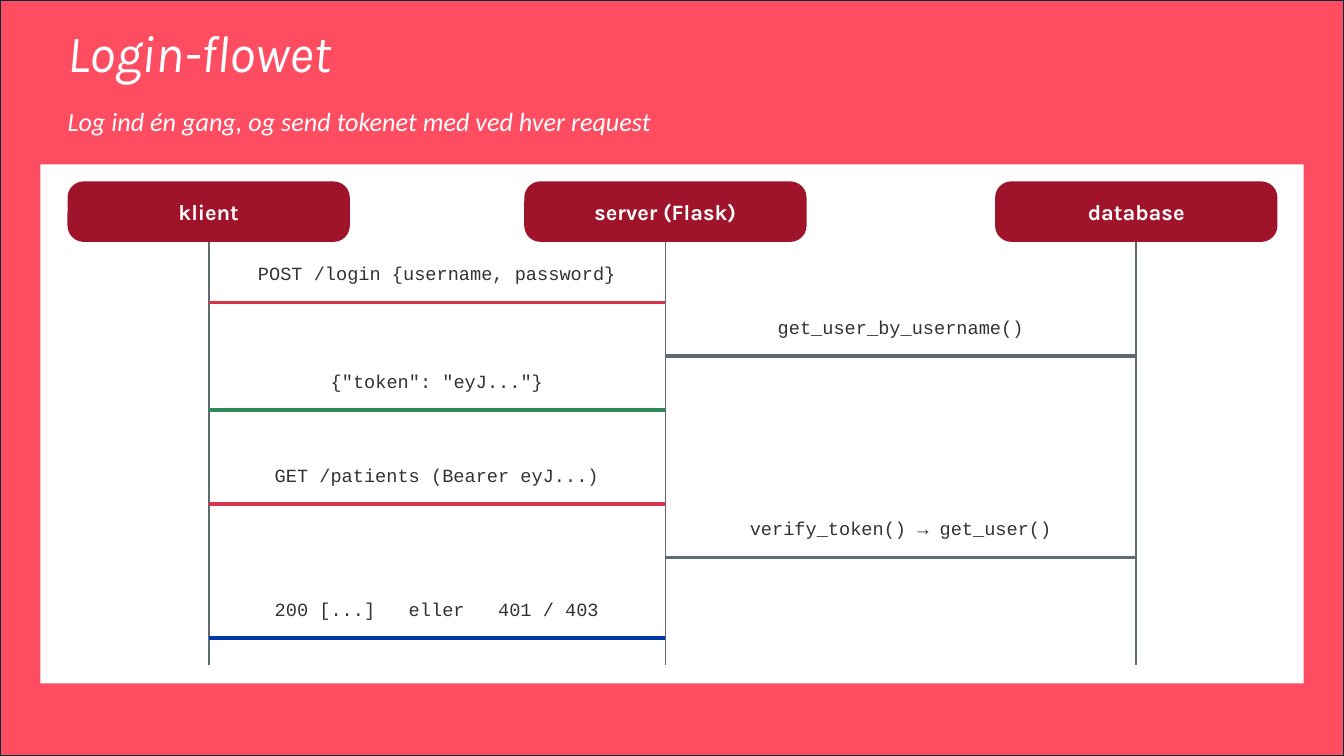
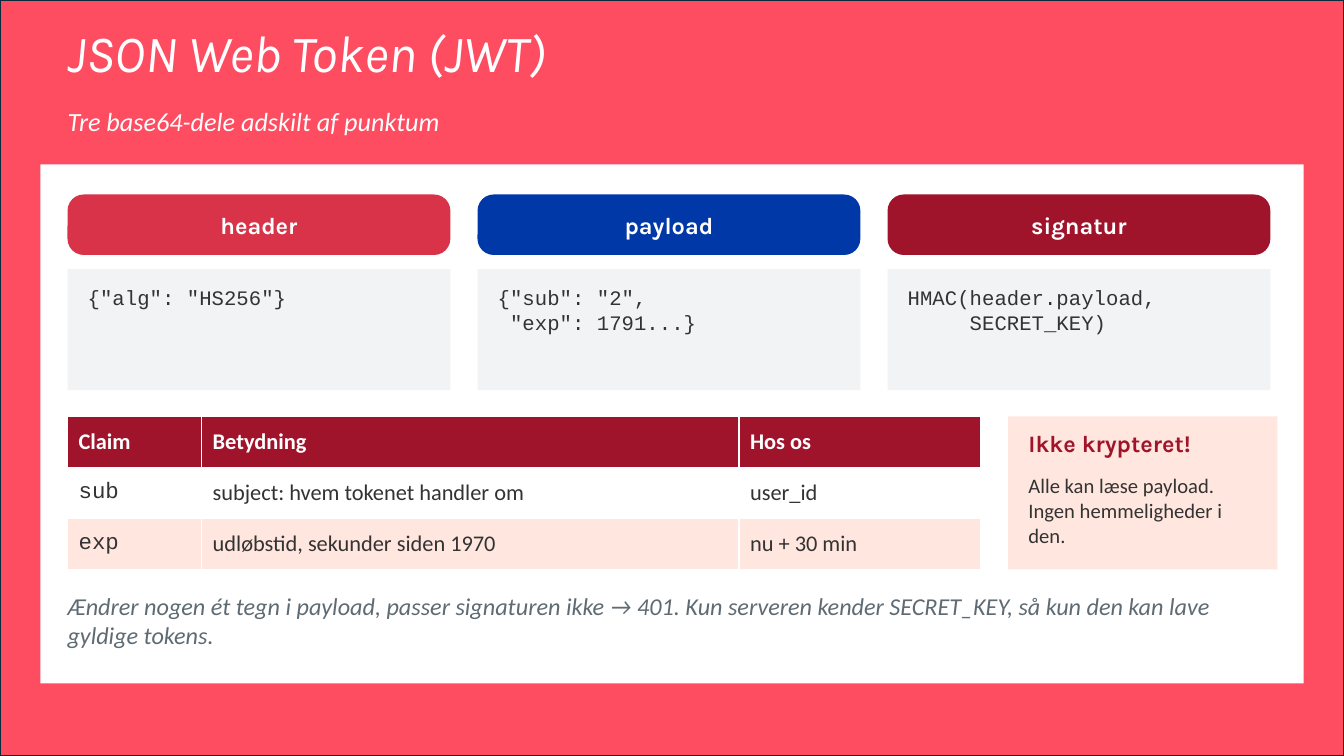
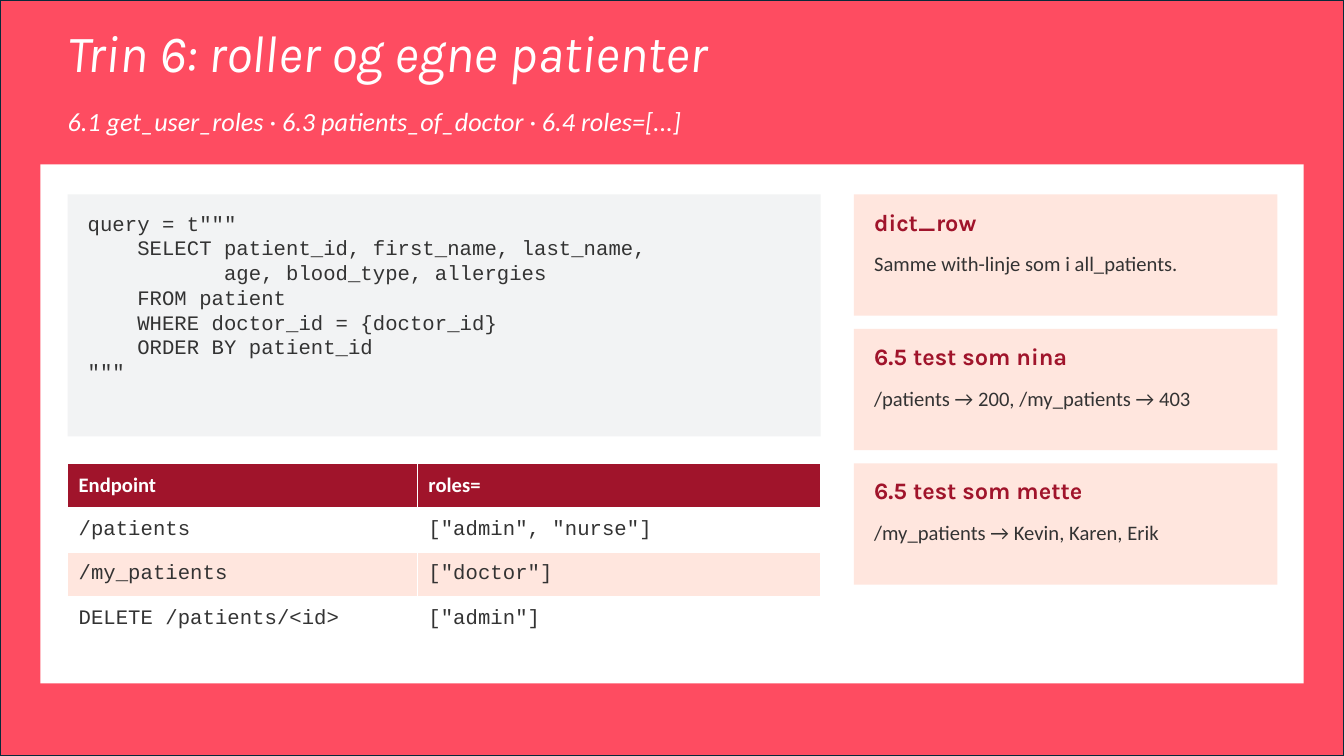
from collections import namedtuple
from dataclasses import dataclass, field

from lxml.etree import SubElement
from pptx import Presentation
from pptx.dml.color import RGBColor
from pptx.enum.shapes import MSO_CONNECTOR, MSO_SHAPE
from pptx.enum.text import MSO_ANCHOR, PP_ALIGN
from pptx.oxml.ns import qn
from pptx.util import Inches, Pt

Box = namedtuple("Box", "left top width height")
BOTTOM = 2


def text_style(name, size, color, bold=False, italic=False):
    return {"name": name, "size": Pt(size), "bold": bold, "italic": italic,
            "color": color}


@dataclass(frozen=True)
class Theme:
    coral: str = "FE4C61"
    border: str = "092A39"
    white: str = "FFFFFF"
    wine: str = "A0142B"
    red: str = "D93349"
    blue: str = "0038A8"
    green: str = "2E8B57"
    slate: str = "5F6B73"
    ink: str = "333333"
    peach: str = "FFE6DE"
    pale: str = "F2F3F4"
    heading_font: str = "Karla"
    body_font: str = "Calibri"
    code_font: str = "Courier New"
    styles: dict = field(default_factory=dict)

    def __post_init__(self):
        self.styles.update(
            title=text_style(self.heading_font, 37.3, self.white, italic=True),
            subtitle=text_style(self.body_font, 18.7, self.white, italic=True),
            lane=text_style(self.heading_font, 15.6, self.white, bold=True),
            pill=text_style(self.heading_font, 16.8, self.white, bold=True),
            card_heading=text_style(self.heading_font, 16.8, self.wine, bold=True),
            card_body=text_style(self.body_font, 14.7, self.ink),
            code=text_style(self.code_font, 14.7, self.ink),
            message=text_style(self.code_font, 13.3, self.ink),
            note=text_style(self.body_font, 17.3, self.slate, italic=True),
        )


THEME = Theme()
STYLES = THEME.styles
SLIDE = Box(0, 0, 13.33, 7.5)
PANEL = Box(0.4, 1.63, 12.53, 5.15)
MARGIN = 0.67
CONTENT_WIDTH = 12
CONTENT_TOP = 1.93


# Basic parts

def lengths(box):
    return [Inches(value) for value in box]


def set_values(target, values):
    for name, value in values.items():
        setattr(target, name, value)


def style_paragraph(paragraph, style):
    set_values(paragraph.font, {k: v for k, v in style.items() if k != "color"})
    paragraph.font.color.rgb = RGBColor.from_string(style["color"])


def write(frame, lines, inset=(0, 0), anchor=MSO_ANCHOR.TOP, **paragraph_values):
    """Write (text, style) lines, one paragraph each."""
    across, down = (Inches(value) for value in inset)
    set_values(frame, {"word_wrap": True, "vertical_anchor": anchor,
                       "margin_left": across, "margin_right": across,
                       "margin_top": down, "margin_bottom": down})
    for index, (text, style) in enumerate(lines):
        paragraph = frame.add_paragraph() if index else frame.paragraphs[0]
        paragraph.text = text
        set_values(paragraph, {"alignment": PP_ALIGN.LEFT, **paragraph_values})
        style_paragraph(paragraph, style)


def add_text(slide, box, text, style, **paragraph_values):
    frame = slide.shapes.add_textbox(*lengths(box)).text_frame
    write(frame, [(text, style)], **paragraph_values)


def add_block(slide, box, fill, kind=MSO_SHAPE.RECTANGLE):
    shape = slide.shapes.add_shape(kind, *lengths(box))
    shape.shadow.inherit = False
    shape.fill.solid()
    shape.fill.fore_color.rgb = RGBColor.from_string(fill)
    shape.line.fill.background()
    return shape


def add_line(slide, start, end, color, width):
    points = [Inches(value) for value in (*start, *end)]
    line = slide.shapes.add_connector(MSO_CONNECTOR.STRAIGHT, *points)
    line.line.color.rgb = RGBColor.from_string(color)
    line.line.width = Pt(width)
    SubElement(line._element.spPr, qn("a:effectLst"))
    return line


# Regions

def start_slide(presentation, title, subtitle):
    slide = presentation.slides.add_slide(presentation.slide_layouts[6])
    backdrop = add_block(slide, SLIDE, THEME.coral)
    backdrop.line.color.rgb = RGBColor.from_string(THEME.border)
    backdrop.line.width = Pt(1.5)
    add_block(slide, PANEL, THEME.white)
    add_text(slide, Box(MARGIN, 0.27, CONTENT_WIDTH, 0.73), title,
             STYLES["title"], line_spacing=0.9)
    add_text(slide, Box(MARGIN, 1.04, CONTENT_WIDTH, 0.47), subtitle,
             STYLES["subtitle"])
    return slide


def add_pill(slide, box, text, fill, style):
    pill = add_block(slide, box, fill, MSO_SHAPE.ROUNDED_RECTANGLE)
    pill.adjustments[0] = 0.267
    write(pill.text_frame, [(text, style)], anchor=MSO_ANCHOR.MIDDLE,
          alignment=PP_ALIGN.CENTER)
    return pill


def add_code(slide, box, code):
    panel = add_block(slide, box, THEME.pale)
    write(panel.text_frame, [(line, STYLES["code"]) for line in code.split("\n")],
          inset=(0.2, 0.16))


def add_card(slide, box, heading, body):
    card = add_block(slide, box, THEME.peach)
    write(card.text_frame, [(heading, STYLES["card_heading"]),
                            (body, STYLES["card_body"])], inset=(0.2, 0.13))
    card.text_frame.paragraphs[1].space_before = Pt(11)


def add_grid(slide, box, column_widths, rows, size, code_columns):
    table = slide.shapes.add_table(len(rows), len(column_widths),
                                   *lengths(box)).table
    for column, width in zip(table.columns, column_widths):
        column.width = Inches(width)
    for row_index, row in enumerate(rows):
        table.rows[row_index].height = Inches(box.height / len(rows))
        for column_index, text in enumerate(row):
            cell = table.cell(row_index, column_index)
            is_header = row_index == 0
            is_code = not is_header and column_index in code_columns
            stripe = THEME.white if row_index % 2 else THEME.peach
            set_values(cell, {"vertical_anchor": MSO_ANCHOR.MIDDLE,
                              "margin_left": Inches(0.11),
                              "margin_right": Inches(0.11),
                              "margin_top": Inches(0.04),
                              "margin_bottom": Inches(0.04)})
            cell.fill.solid()
            cell.fill.fore_color.rgb = RGBColor.from_string(
                THEME.wine if is_header else stripe)
            cell.text = text
            style_paragraph(cell.text_frame.paragraphs[0], text_style(
                THEME.code_font if is_code else THEME.body_font, size,
                THEME.white if is_header else THEME.ink, bold=is_header))


def add_sequence(slide, box, lanes, messages):
    """Lanes are (name, offset); messages are (from, to, drop, color, text)."""
    pill_width, pill_height = 2.8, 0.6
    label_height, label_gap = 0.4, 0.13
    centers = []
    for name, offset in lanes:
        pill_box = Box(box.left + offset, box.top, pill_width, pill_height)
        pill = add_pill(slide, pill_box, name, THEME.wine, STYLES["lane"])
        center = pill_box.left + pill_width / 2
        lifeline = add_line(slide, (center, box.top + pill_height),
                            (center, box.top + box.height), THEME.slate, 1.33)
        lifeline.begin_connect(pill, BOTTOM)
        centers.append(center)
    for sender, receiver, drop, color, text in messages:
        start, end = centers[sender], centers[receiver]
        y = box.top + drop
        add_line(slide, (start, y), (end, y), color, 2.67)
        add_text(slide, Box(min(start, end) + label_gap, y - label_height,
                            abs(end - start) - 2 * label_gap, label_height),
                 text, STYLES["message"], alignment=PP_ALIGN.CENTER)


def add_token_parts(slide, box, parts):
    gap, pill_height, code_drop = 0.27, 0.6, 0.74
    width = (box.width - gap * (len(parts) - 1)) / len(parts)
    for index, (name, fill, code) in enumerate(parts):
        left = box.left + index * (width + gap)
        add_pill(slide, Box(left, box.top, width, pill_height), name, fill,
                 STYLES["pill"])
        add_code(slide, Box(left, box.top + code_drop, width,
                            box.height - code_drop), code)


def add_card_stack(slide, box, cards):
    gap = 0.13
    height = (box.height - gap * (len(cards) - 1)) / len(cards)
    for index, (heading, body) in enumerate(cards):
        top = box.top + index * (height + gap)
        add_card(slide, Box(box.left, top, box.width, height), heading, body)


# Slides

def build_login_flow(presentation):
    slide = start_slide(presentation, "Login-flowet",
                        "Log ind én gang, og send tokenet med ved hver request")
    client, server, database = range(3)
    add_sequence(
        slide, Box(MARGIN, 1.8, CONTENT_WIDTH, 4.8),
        [("klient", 0), ("server (Flask)", 4.53), ("database", 9.2)],
        [(client, server, 1.2, THEME.red, "POST /login {username, password}"),
         (server, database, 1.73, THEME.slate, "get_user_by_username()"),
         (server, client, 2.27, THEME.green, '{"token": "eyJ..."}'),
         (client, server, 3.2, THEME.red, "GET /patients (Bearer eyJ...)"),
         (server, database, 3.73, THEME.slate, "verify_token() → get_user()"),
         (server, client, 4.53, THEME.blue, "200 [...]   eller   401 / 403")])


def build_web_token(presentation):
    slide = start_slide(presentation, "JSON Web Token (JWT)",
                        "Tre base64-dele adskilt af punktum")
    add_token_parts(
        slide, Box(MARGIN, CONTENT_TOP, 11.93, 1.94),
        [("header", THEME.red, '{"alg": "HS256"}'),
         ("payload", THEME.blue, '{"sub": "2",\n "exp": 1791...}'),
         ("signatur", THEME.wine, "HMAC(header.payload,\n     SECRET_KEY)")])
    add_grid(slide, Box(MARGIN, 4.13, 9.06, 1.52), [1.33, 5.33, 2.4],
             [("Claim", "Betydning", "Hos os"),
              ("sub", "subject: hvem tokenet handler om", "user_id"),
              ("exp", "udløbstid, sekunder siden 1970", "nu + 30 min")],
             size=16, code_columns={0})
    add_card(slide, Box(10, 4.13, 2.67, 1.52), "Ikke krypteret!",
             "Alle kan læse payload. Ingen hemmeligheder i den.")
    add_text(slide, Box(MARGIN, 5.87, CONTENT_WIDTH, 0.8),
             "Ændrer nogen ét tegn i payload, passer signaturen ikke → 401. "
             "Kun serveren kender SECRET_KEY, så kun den kan lave gyldige tokens.",
             STYLES["note"])


def build_roles(presentation):
    slide = start_slide(
        presentation, "Trin 6: roller og egne patienter",
        "6.1 get_user_roles · 6.3 patients_of_doctor · 6.4 roles=[...]")
    add_code(slide, Box(MARGIN, CONTENT_TOP, 7.47, 2.4), '''query = t"""
    SELECT patient_id, first_name, last_name,
           age, blood_type, allergies
    FROM patient
    WHERE doctor_id = {doctor_id}
    ORDER BY patient_id
"""''')
    add_grid(slide, Box(MARGIN, 4.6, 7.47, 1.76), [3.47, 4],
             [("Endpoint", "roles="),
              ("/patients", '["admin", "nurse"]'),
              ("/my_patients", '["doctor"]'),
              ("DELETE /patients/<id>", '["admin"]')],
             size=14.7, code_columns={0, 1})
    add_card_stack(
        slide, Box(8.47, CONTENT_TOP, 4.2, 3.87),
        [("dict_row", "Samme with-linje som i all_patients."),
         ("6.5 test som nina", "/patients → 200, /my_patients → 403"),
         ("6.5 test som mette", "/my_patients → Kevin, Karen, Erik")])


def main():
    presentation = Presentation()
    presentation.slide_width = Inches(SLIDE.width)
    presentation.slide_height = Inches(SLIDE.height)
    for build in (build_login_flow, build_web_token, build_roles):
        build(presentation)
    presentation.save("out.pptx")


if __name__ == "__main__":
    main()
